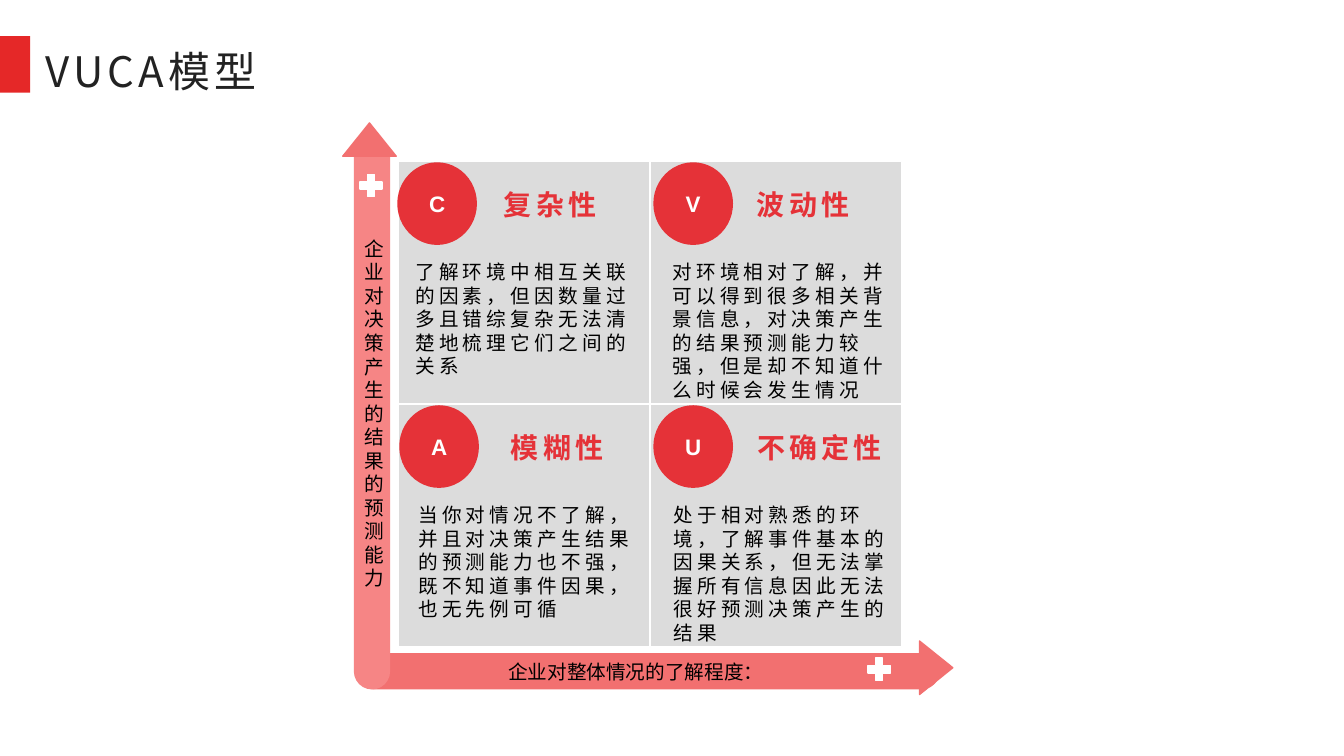
from dataclasses import dataclass

from lxml import etree
from pptx import Presentation
from pptx.dml.color import RGBColor
from pptx.enum.shapes import MSO_SHAPE
from pptx.enum.text import MSO_ANCHOR, MSO_AUTO_SIZE, PP_ALIGN
from pptx.oxml.ns import qn
from pptx.util import Inches, Pt


@dataclass(frozen=True)
class Theme:
    cjk: str = "Noto Sans CJK SC"
    latin: str = "Arial"
    panel: str = "DCDCDC"
    badge: str = "E53238"
    marker: str = "E52828"
    title: str = "222222"
    axis: str = "F27070"
    axis_light: str = "F68585"
    white: str = "FFFFFF"
    black: str = "000000"
    title_size: int = 30
    heading_size: int = 20
    badge_size: int = 16
    body_size: int = 14
    spacing: int = 3


THEME = Theme()
GRID_LEFT, GRID_TOP = 3.95, 1.6
COLUMN_STEP, ROW_STEP = 2.5, 2.41
PANEL_WIDTH = 2.49

# Column, row, letter, heading, body, then offsets of badge, heading and body
QUADRANTS = [
    (0, 0, "C", "复杂性",
     "了解环境中相互关联的因素，但因数量过多且错综复杂无法清楚地梳理它们之间的关系",
     -0.01, 0.95, 0.07),
    (1, 0, "V", "波动性",
     "对环境相对了解，并可以得到很多相关背景信息，对决策产生的结果预测能力较强，但是却不知道什么时候会发生情况",
     0.03, 0.96, 0.12),
    (0, 1, "A", "模糊性",
     "当你对情况不了解，并且对决策产生结果的预测能力也不强，既不知道事件因果，也无先例可循",
     0.01, 1.02, 0.1),
    (1, 1, "U", "不确定性",
     "处于相对熟悉的环境，了解事件基本的因果关系，但无法掌握所有信息因此无法很好预测决策产生的结果",
     0.03, 0.96, 0.13),
]


def write_text(shape, text, size, color, font=THEME.cjk, bold=False, spacing=0,
               align=PP_ALIGN.LEFT, line_spacing=None, **frame_format):
    """Fill a shape with one formatted paragraph."""
    frame = shape.text_frame
    for name, value in frame_format.items():
        setattr(frame, name, value)
    paragraph = frame.paragraphs[0]
    paragraph.alignment = align
    paragraph.line_spacing = line_spacing
    # Keep punctuation inside the box
    paragraph._p.get_or_add_pPr().set("hangingPunct", "0")
    run = paragraph.add_run()
    run.text = text
    for name, value in {"name": font, "size": Pt(size), "bold": bold}.items():
        setattr(run.font, name, value)
    run.font.color.rgb = RGBColor.from_string(color)
    properties = run._r.get_or_add_rPr()
    etree.SubElement(properties, qn("a:ea")).set("typeface", font)
    if spacing:
        properties.set("spc", str(spacing * 100))


def add_box(slide, box, text, size, color, tight=False, **text_format):
    """Add a text box; tight boxes have narrow margins all round."""
    shape = slide.shapes.add_textbox(*map(Inches, box))
    text_format = {"word_wrap": True,
                   "auto_size": MSO_AUTO_SIZE.SHAPE_TO_FIT_TEXT, **text_format}
    if tight:
        text_format.update(tight_margins())
    write_text(shape, text, size, color, **text_format)


def tight_margins():
    sides = ("left", "right", "top", "bottom")
    return {f"margin_{side}": Inches(0.05) for side in sides}


def add_figure(slide, preset, box, fill, line=None, rotation=0):
    shape = slide.shapes.add_shape(preset, *map(Inches, box))
    shape.shadow.inherit = False
    shape.rotation = rotation
    shape.fill.solid()
    shape.fill.fore_color.rgb = RGBColor.from_string(fill)
    if line:
        shape.line.color.rgb = RGBColor.from_string(line)
        shape.line.width = Pt(1)
    else:
        shape.line.fill.background()
    return shape


def add_title(slide):
    add_figure(slide, MSO_SHAPE.RECTANGLE, (0, 0.36, 0.3, 0.56), THEME.marker)
    title = slide.shapes.title
    box = {"left": 0.4, "top": 0.3, "width": 4.11, "height": 0.67}
    for name, value in box.items():
        setattr(title, name, Inches(value))
    write_text(title, "VUCA模型", THEME.title_size, THEME.title,
               spacing=THEME.spacing, line_spacing=1.2, word_wrap=True,
               vertical_anchor=MSO_ANCHOR.TOP,
               auto_size=MSO_AUTO_SIZE.SHAPE_TO_FIT_TEXT, **tight_margins())


def add_quadrant(slide, column, row, letter, heading, body,
                 badge_offset, heading_offset, body_offset):
    left = GRID_LEFT + column * COLUMN_STEP
    top = GRID_TOP + row * ROW_STEP
    add_figure(slide, MSO_SHAPE.RECTANGLE, (left, top, PANEL_WIDTH, ROW_STEP),
               THEME.panel, THEME.white)
    badge = add_figure(slide, MSO_SHAPE.OVAL,
                       (left + badge_offset, top + 0.01, 0.79, 0.82), THEME.badge)
    write_text(badge, letter, THEME.badge_size, THEME.white, font=THEME.latin,
               bold=True, align=PP_ALIGN.CENTER, vertical_anchor=MSO_ANCHOR.MIDDLE)
    # Side margins plus one fixed advance per character
    heading_width = 0.24 + 0.32 * len(heading)
    add_box(slide, (left + heading_offset, top + 0.21, heading_width, 0.44),
            heading, THEME.heading_size, THEME.badge, bold=True,
            spacing=THEME.spacing, word_wrap=False)
    add_box(slide, (left + body_offset, top + 0.93, 2.37, 1.51), body,
            THEME.body_size, THEME.black, spacing=THEME.spacing)


def add_axis(slide, bar, bar_color, head, rotation, plus, label_box, label):
    """Add an arrow made of a rounded bar and a triangle, with plus and label."""
    shape = add_figure(slide, MSO_SHAPE.ROUNDED_RECTANGLE, bar, bar_color)
    shape.adjustments[0] = 0.5
    add_figure(slide, MSO_SHAPE.FLOWCHART_EXTRACT, head, THEME.axis, THEME.axis,
               rotation)
    add_figure(slide, MSO_SHAPE.MATH_PLUS, plus, THEME.white, THEME.white)
    add_box(slide, label_box, label, THEME.body_size, THEME.black, tight=True,
            vertical_anchor=MSO_ANCHOR.MIDDLE)


def main():
    presentation = Presentation()
    presentation.slide_width = Inches(13.33)
    presentation.slide_height = Inches(7.5)
    slide = presentation.slides.add_slide(presentation.slide_layouts[5])

    add_title(slide)

    # Four quadrants
    for quadrant in QUADRANTS:
        add_quadrant(slide, *quadrant)

    # Horizontal axis, then the vertical one over its corner
    add_axis(slide, (3.53, 6.48, 5.79, 0.36), THEME.axis,
             (9.02, 6.46, 0.53, 0.33), 90, (8.57, 6.49, 0.3, 0.3),
             (4.99, 6.49, 2.97, 0.34), "企业对整体情况的了解程度：")
    add_axis(slide, (3.51, 1.37, 0.36, 5.47), THEME.axis_light,
             (3.4, 1.22, 0.53, 0.33), 0, (3.53, 1.69, 0.3, 0.3),
             (3.57, 2.28, 0.2, 3.64), "企业对决策产生的结果的预测能力")

    presentation.save("out.pptx")


if __name__ == "__main__":
    main()
